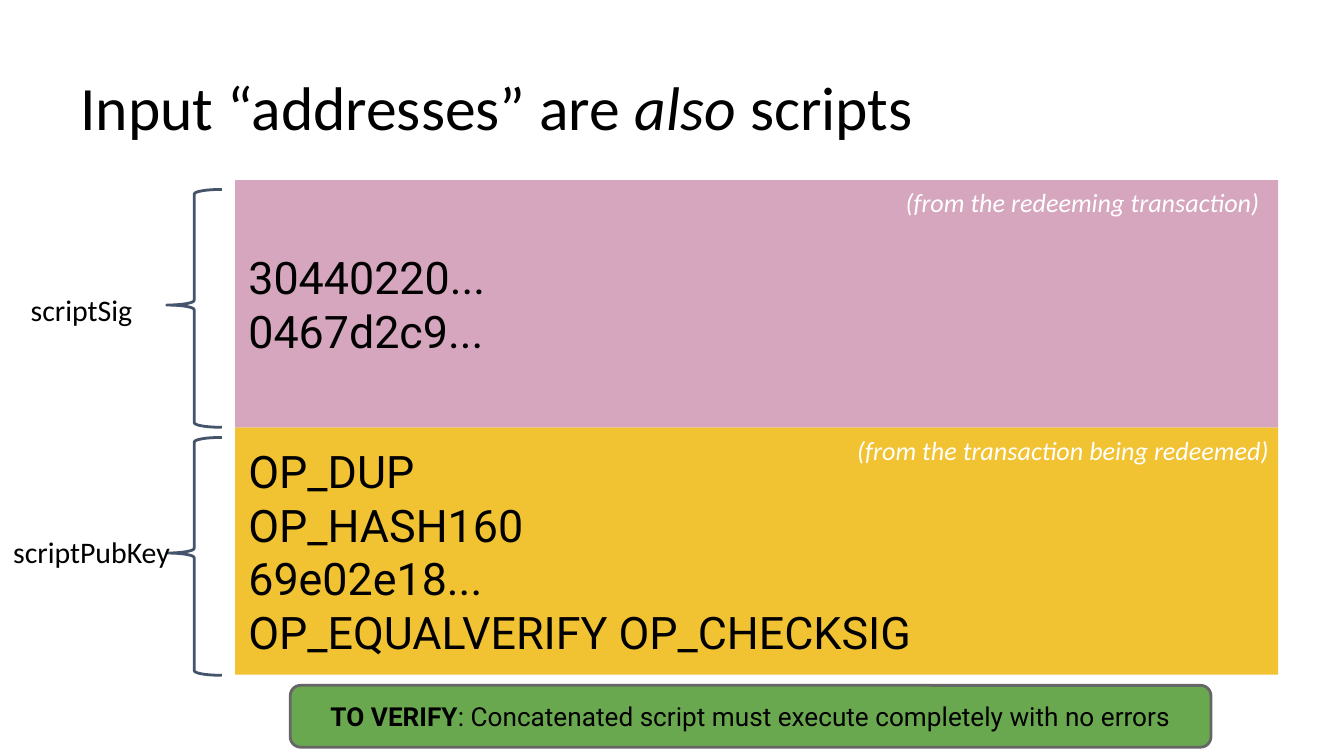
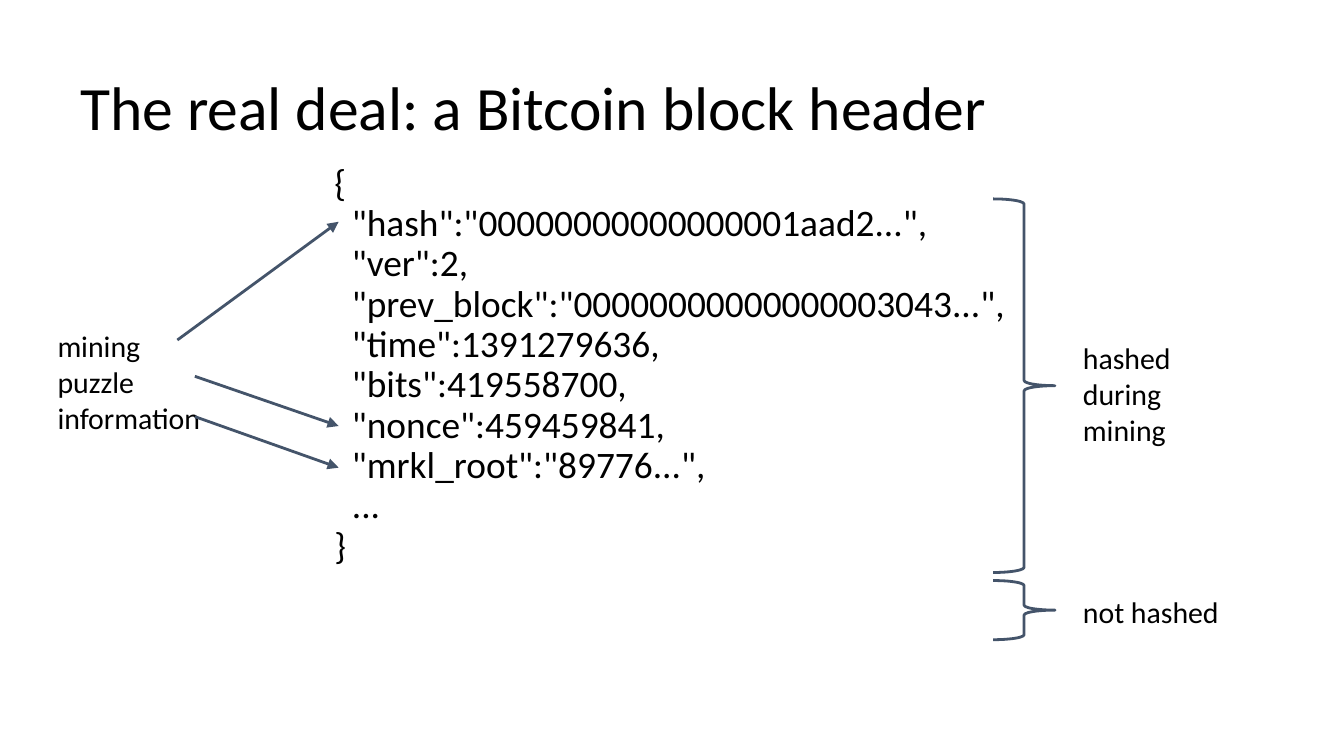
from pptx import Presentation
from pptx import util as u
from pptx.dml import color
from pptx.enum import shapes, text
from pptx.oxml.ns import qn
from lxml import etree

CELL = u.Inches(0.1)
INK, STEEL, WHITE = "000000", "44546A", "FFFFFF"
BODY, CODE = "Calibri", "Roboto"
KIND = shapes.MSO_SHAPE
MID, LOW = text.MSO_ANCHOR.MIDDLE, text.MSO_ANCHOR.BOTTOM


def hue(fill, code):
    fill.solid()
    fill.fore_color.rgb = color.RGBColor.from_string(code)


def put(page, at, lines=(), size=16, font=BODY, ink=INK, kind=None, fill=None,
        edge=None, anchor=text.MSO_ANCHOR.TOP, mark=None, space=1.0):
    box = [round(n * CELL) for n in at]
    if kind is None:
        item = page.shapes.add_textbox(*box)
    else:
        item = page.shapes.add_shape(kind, *box)
        item.shadow.inherit = False
        if fill:
            hue(item.fill, fill)
        else:
            item.fill.background()
        if edge:
            hue(item.line.fill, edge)
            item.line.width = u.Pt(1.5)
        else:
            item.line.fill.background()
    frame = item.text_frame
    frame.word_wrap = True
    frame.vertical_anchor = anchor
    frame.margin_left = frame.margin_right = CELL
    frame.margin_top = frame.margin_bottom = CELL
    for i, line in enumerate(lines):
        para = frame.paragraphs[0] if i == 0 else frame.add_paragraph()
        para.alignment = text.PP_ALIGN.LEFT
        para.line_spacing = space
        para.font.name, para.font.size = font, u.Pt(size)
        hue(para.font.fill, ink)
        for k, part in enumerate(line.split("*")):
            if part:
                run = para.add_run()
                run.text = part
                if k % 2:
                    setattr(run.font, mark, True)
    return item


deck = Presentation()
deck.slide_width, deck.slide_height = 100 * CELL, round(56.25 * CELL)

pages = []
for title in ("Input “addresses” are *also* scripts",
              "The real deal: a Bitcoin block header"):
    page = deck.slides.add_slide(deck.slide_layouts[6])
    put(page, (5, 2.3, 92.4, 9.4), [title], 33, anchor=LOW, mark="italic", space=0.9)
    pages.append(page)
script, header = pages

left, top, wide, tall = 17.5, 13.4, 77.6, 18.4
bands = [
    (1, "F1C232", ["OP_DUP", "OP_HASH160", "69e02e18...", "OP_EQUALVERIFY OP_CHECKSIG"]),
    (0, "D5A6BD", ["30440220...", "0467d2c9..."]),
]
for row, fill, lines in bands:
    put(script, (left, top + row * tall, wide, tall), lines, 24, CODE,
        kind=KIND.RECTANGLE, fill=fill, anchor=MID)

for row in range(2):
    brace = put(script, (12.4, 14.1 + row * 18.45, 4.1, 17.7),
                kind=KIND.LEFT_BRACE, edge=STEEL)
    brace.adjustments[0], brace.adjustments[1] = 0.083, 0.486

put(script, (1.3, 20.7, 10.1, 4.6), ["scriptSig"])
put(script, (0, 38.7, 14.6, 4.6), ["scriptPubKey"])

rule = put(script, (21.6, 51, 68.5, 4.6),
           ["*TO VERIFY*: Concatenated script must execute completely with no errors"],
           14, CODE, kind=KIND.ROUNDED_RECTANGLE, fill="6AA84F", edge="666666",
           anchor=MID, mark="bold")
rule.text_frame.paragraphs[0].alignment = text.PP_ALIGN.CENTER

notes = [(66.4, 28.7, "(from the redeeming transaction)"),
         (62.8, 32.9, "(from the transaction being redeemed)")]
for row, (x, width, line) in enumerate(notes):
    note = put(script, (x, top + row * tall, width, 3.4), [line], 14, ink=WHITE)
    frame = note.text_frame
    frame.word_wrap = False
    frame.margin_top = frame.margin_bottom = CELL // 2
    frame.paragraphs[0].font.italic = True

fields = [
    '"hash":"00000000000000001aad2...",',
    '"ver":2,',
    '"prev_block":"00000000000000003043...",',
    '"time":1391279636,',
    '"bits":419558700,',
    '"nonce":459459841,',
    '"mrkl_root":"89776...",',
    "...",
]
block = put(header, (23.9, 11.2, 90, 45.1), ["{", *fields, "}"], 20, space=0.9)
for para in block.text_frame.paragraphs[1:-1]:
    para._p.get_or_add_pPr().set("marL", str(round(1.3 * CELL)))

put(header, (3.3, 23.4, 14, 9.4), ["mining puzzle information"])

for x, y, end in ((13.2, 25.3, 16.5), (14.5, 28, 31.7), (14.5, 31, 34.8)):
    ends = [round(n * CELL) for n in (x, y, 25.2, end)]
    arrow = header.shapes.add_connector(shapes.MSO_CONNECTOR.STRAIGHT, *ends)
    hue(arrow.line.fill, STEEL)
    arrow.line.width = u.Pt(1.5)
    tip = etree.SubElement(arrow.line._get_or_add_ln(), qn("a:tailEnd"))
    tip.set("type", "triangle")
    etree.SubElement(arrow._element.spPr, qn("a:effectLst"))

groups = [(14.8, 27.8, 24.3, "hashed during mining"),
          (43.2, 4.4, 43.2, "not hashed")]
for y, height, label, line in groups:
    brace = put(header, (73.9, y, 4.6, height), kind=KIND.RIGHT_BRACE, edge=STEEL)
    brace.adjustments[0], brace.adjustments[1] = 0.083, 0.5
    put(header, (79.6, label, 14, 9.4), [line])

deck.save("out.pptx")
